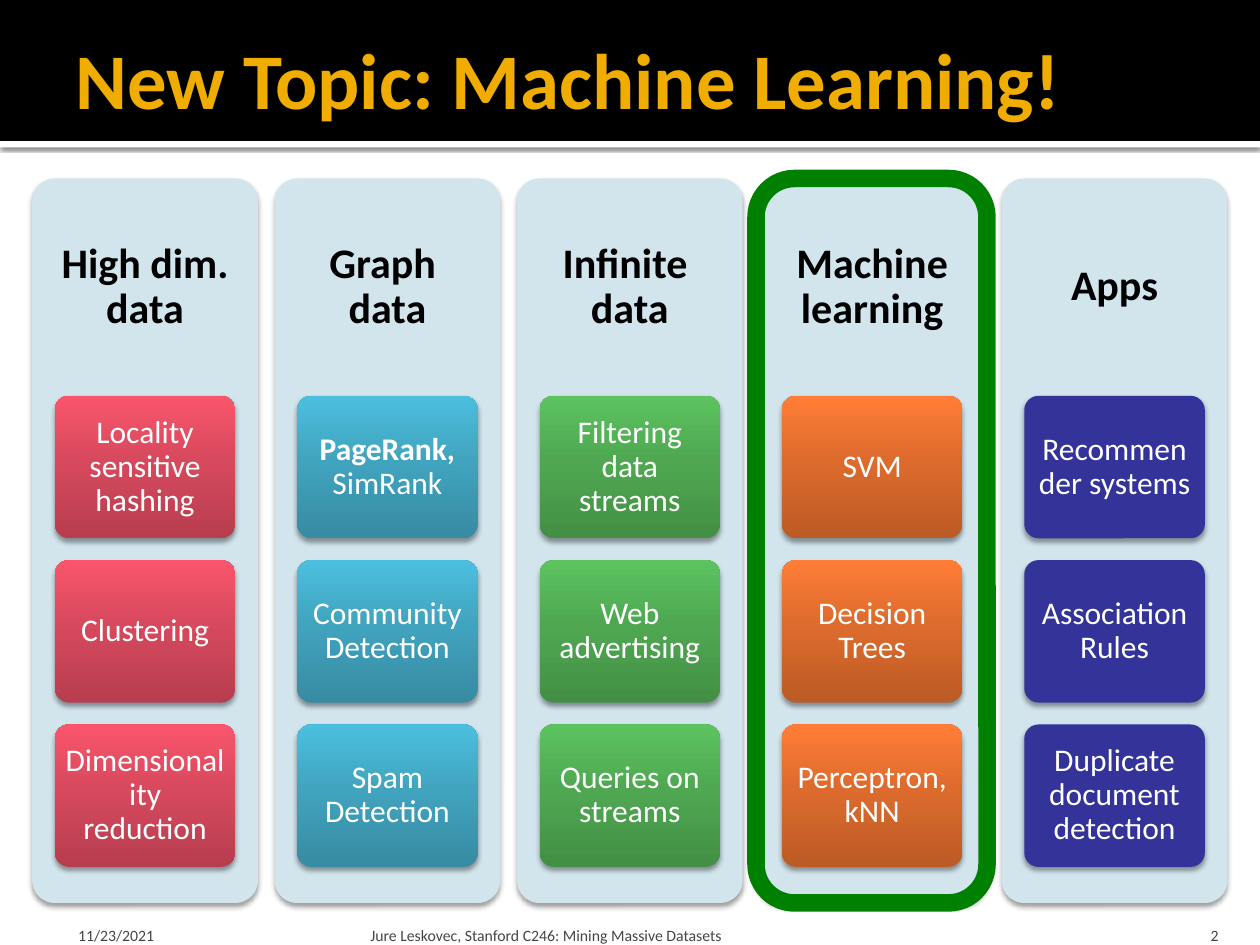
from copy import deepcopy
from dataclasses import dataclass

from lxml.etree import SubElement
from pptx import Presentation
from pptx.dml.color import RGBColor
from pptx.enum.shapes import MSO_SHAPE as Preset
from pptx.enum.text import MSO_ANCHOR as Anchor, PP_ALIGN as Align
from pptx.oxml.ns import qn
from pptx.util import Pt


@dataclass(frozen=True)
class Theme:
    font: str = "Calibri"
    title_size: float = 45
    heading_size: float = 24
    tile_size: float = 18
    footer_size: float = 9
    black: str = "000000"
    white: str = "FFFFFF"
    gold: str = "F0AD00"
    panel: str = "D2E5EC"
    footer: str = "454545"
    highlight: str = "008000"
    red: tuple[str, ...] = ("B73E4F", "D7495D", "FA556C")
    blue: tuple[str, ...] = ("378BA2", "41A4BF", "4BBFDE")
    green: tuple[str, ...] = ("438F45", "4FA851", "5CC35F")
    orange: tuple[str, ...] = ("BC5B26", "DD6B2D", "FF7D37")
    indigo: tuple[str, ...] = ("333399",)


@dataclass(frozen=True)
class Box:
    left: float
    top: float
    width: float
    height: float

    def lengths(self) -> tuple:
        return Pt(self.left), Pt(self.top), Pt(self.width), Pt(self.height)


@dataclass(frozen=True)
class Shadow:
    opacity: int
    blur: float
    distance: float


@dataclass(frozen=True)
class Style:
    size: float
    color: str
    bold: bool | None = None
    align: Align = Align.LEFT
    anchor: Anchor = Anchor.MIDDLE
    insets: tuple[float, float, float, float] = (3.6, 3.6, 3.6, 0)
    line_spacing: float | None = None


@dataclass(frozen=True)
class Topic:
    heading: str
    colors: tuple[str, ...]
    tiles: tuple[str, ...]
    bold_lead: str = ""


@dataclass(frozen=True)
class Footer:
    text: str
    box: Box
    align: Align
    left_inset: float
    right_inset: float = 3.6


THEME = Theme()
BAND_SHADOW = Shadow(60, 2.5, 0.8)
CARD_SHADOW = Shadow(38, 3.1, 2)
TITLE = Style(THEME.title_size, THEME.gold, True, insets=(7.2, 3.6, 3.6, 3.6))
HEADING = Style(THEME.heading_size, THEME.black, True, Align.CENTER,
                insets=(7.2, 7.2, 7.2, 7.2), line_spacing=0.9)
TILE = Style(THEME.tile_size, THEME.white, None, Align.CENTER,
             insets=(3.6, 2.7, 3.6, 2.7), line_spacing=0.9)

PANEL_LEFT, PANEL_TOP, PANEL_WIDTH, PANEL_HEIGHT = 18.4, 102, 129, 414
PANEL_PITCH = 138.5
HEADING_HEIGHT = 124.2
TILE_INDENT, TILE_TOP, TILE_WIDTH, TILE_HEIGHT = 12.9, 226.2, 103.2, 81.4
TILE_PITCH = 93.9
CORNER = 0.1

TOPICS = (
    Topic("High dim. data", THEME.red,
          ("Locality sensitive hashing", "Clustering", "Dimensionality reduction")),
    Topic("Graph \vdata", THEME.blue,
          ("PageRank, SimRank", "Community Detection", "Spam Detection"), "PageRank, "),
    Topic("Infinite \vdata", THEME.green,
          ("Filtering data streams", "Web advertising", "Queries on streams")),
    Topic("Machine learning", THEME.orange,
          ("SVM", "Decision Trees", "Perceptron, kNN")),
    Topic("Apps", THEME.indigo,
          ("Recommender systems", "Association Rules", "Duplicate document detection")),
)
FOOTERS = (
    Footer("11/23/2021", Box(36, 518.4, 168, 21.6), Align.LEFT, 8.64),
    Footer("Jure Leskovec, Stanford C246: Mining Massive Datasets",
           Box(208, 518.4, 433.4, 21.6), Align.LEFT, 3.6),
    Footer("2", Box(645.8, 518.4, 57.6, 21.6), Align.RIGHT, 7.2, 7.2),
)


def write(holder, text: str, style: Style, bold_lead: str = "") -> None:
    frame = holder.text_frame
    frame.word_wrap = True
    frame.vertical_anchor = style.anchor
    (frame.margin_left, frame.margin_top,
     frame.margin_right, frame.margin_bottom) = map(Pt, style.insets)
    paragraph = frame.paragraphs[0]
    if bold_lead and text.startswith(bold_lead):
        lead = paragraph.add_run()
        lead.text = bold_lead
        lead.font.bold = True
        paragraph.add_run().text = text.removeprefix(bold_lead)
    else:
        paragraph.text = text
    paragraph.alignment = style.align
    paragraph.line_spacing = style.line_spacing
    font = paragraph.font
    font.name, font.size, font.bold = THEME.font, Pt(style.size), style.bold
    font.color.rgb = RGBColor.from_string(style.color)


def paint(fill, colors: tuple[str, ...], properties) -> None:
    if len(colors) == 1:
        fill.solid()
        fill.fore_color.rgb = RGBColor.from_string(colors[0])
        return
    fill.gradient()
    fill.gradient_angle = 90
    stop_list = properties.find(qn("a:gradFill")).find(qn("a:gsLst"))
    stop_list.insert(1, deepcopy(stop_list[0]))
    for stop, position, color in zip(fill.gradient_stops, (0, 0.55, 1), colors):
        stop.position = position
        stop.color.rgb = RGBColor.from_string(color)


def cast_shadow(properties, shadow: Shadow) -> None:
    outer = SubElement(properties.find(qn("a:effectLst")), qn("a:outerShdw"),
                       blurRad=str(Pt(shadow.blur)), dist=str(Pt(shadow.distance)),
                       dir="5400000", rotWithShape="0")
    color = SubElement(outer, qn("a:srgbClr"), val=THEME.black)
    SubElement(color, qn("a:alpha"), val=str(shadow.opacity * 1000))


def add_block(slide, preset: Preset, box: Box, colors: tuple[str, ...] = (),
              shadow: Shadow | None = None, corner: float | None = None):
    block = slide.shapes.add_shape(preset, *box.lengths())
    properties = block._element.spPr
    block.shadow.inherit = False
    block.line.fill.background()
    if corner is not None:
        block.adjustments[0] = corner
    if colors:
        paint(block.fill, colors, properties)
    else:
        block.fill.background()
    if shadow:
        cast_shadow(properties, shadow)
    return block


def add_label(slide, text: str, box: Box, style: Style) -> None:
    write(slide.shapes.add_textbox(*box.lengths()), text, style)


def add_header(slide) -> None:
    add_block(slide, Preset.RECTANGLE, Box(0, 80.6, 720, 3.6), (THEME.white,), BAND_SHADOW)
    add_block(slide, Preset.RECTANGLE, Box(0, 0, 720, 80.6), (THEME.black,))
    title = slide.shapes.title
    title.left, title.top, title.width, title.height = Box(36, 5.8, 648, 77.8).lengths()
    write(title, "New Topic: Machine Learning!", TITLE)
    slide.shapes._spTree.append(title._element)


def add_topic(slide, topic: Topic, left: float) -> None:
    add_block(slide, Preset.ROUNDED_RECTANGLE,
              Box(left, PANEL_TOP, PANEL_WIDTH, PANEL_HEIGHT),
              (THEME.panel,), CARD_SHADOW, CORNER)
    add_label(slide, topic.heading, Box(left, PANEL_TOP, PANEL_WIDTH, HEADING_HEIGHT), HEADING)
    for row, text in enumerate(topic.tiles):
        box = Box(left + TILE_INDENT, TILE_TOP + row * TILE_PITCH, TILE_WIDTH, TILE_HEIGHT)
        tile = add_block(slide, Preset.ROUNDED_RECTANGLE, box,
                         topic.colors, CARD_SHADOW, CORNER)
        write(tile, text, TILE, topic.bold_lead)


def main() -> None:
    deck = Presentation()
    deck.slide_width, deck.slide_height = Pt(720), Pt(540)
    slide = deck.slides.add_slide(deck.slide_layouts[5])
    add_header(slide)
    for column, topic in enumerate(TOPICS):
        add_topic(slide, topic, PANEL_LEFT + column * PANEL_PITCH)
    for footer in FOOTERS:
        add_label(slide, footer.text, footer.box,
                  Style(THEME.footer_size, THEME.footer, align=footer.align,
                        anchor=Anchor.BOTTOM,
                        insets=(footer.left_inset, 3.6, footer.right_inset, 0)))
    highlight = add_block(slide, Preset.ROUNDED_RECTANGLE, Box(432, PANEL_TOP, 132, PANEL_HEIGHT))
    highlight.line.color.rgb = RGBColor.from_string(THEME.highlight)
    highlight.line.width = Pt(10)
    deck.save("out.pptx")


if __name__ == "__main__":
    main()
